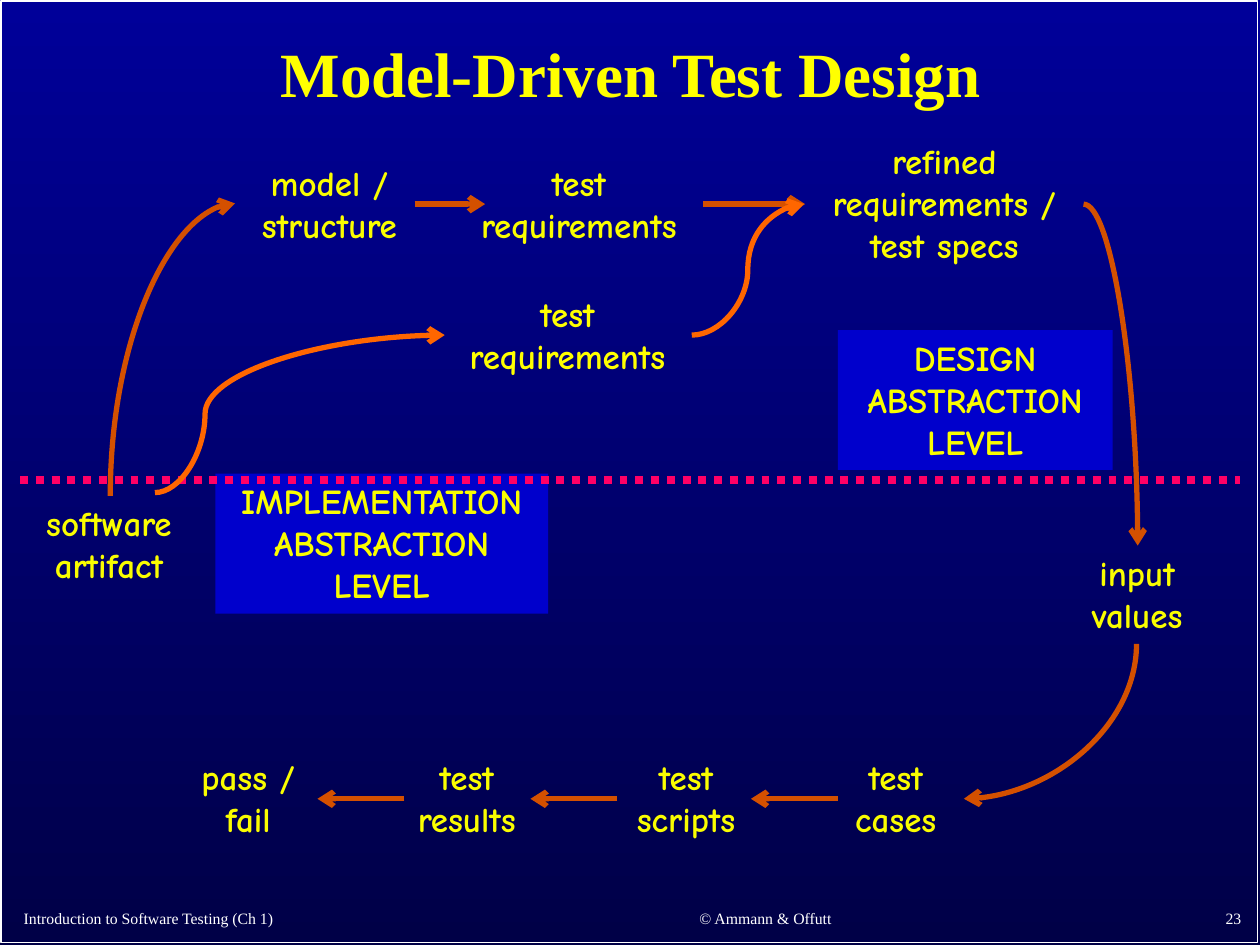
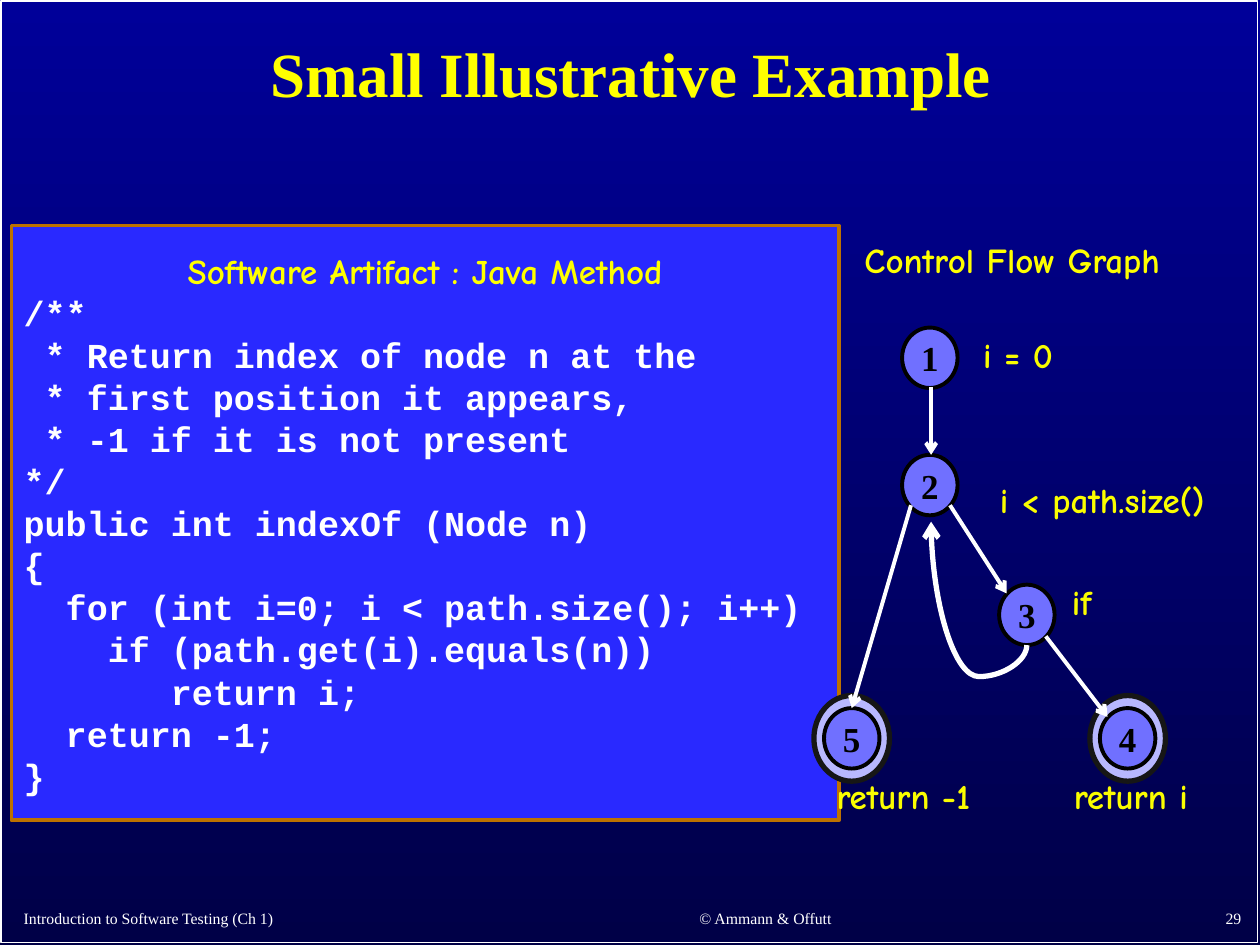
from lxml import etree
from pptx import Presentation
from pptx.dml.color import RGBColor
from pptx.enum.dml import MSO_LINE
from pptx.enum.shapes import MSO_CONNECTOR as Link, MSO_SHAPE as Shape
from pptx.enum.text import MSO_ANCHOR as Anchor, PP_ALIGN as Align
from pptx.oxml.ns import qn
from pptx.util import Emu, Pt

EMU_PER_PX = 9144
SERIF, HAND, CODE = "Times New Roman", "Comic Neue", "Courier New"
COLORS = {
    "sky": "000099",
    "deep": "000047",
    "title": "FFFF00",
    "label": "FAFD00",
    "white": "FFFFFF",
    "black": "000000",
    "block": "0000CC",
    "panel": "2929FF",
    "panel_edge": "BD7100",
    "flow": "D45000",
    "shortcut": "FF6600",
    "divider": "FF0066",
    "node": "7070FF",
    "ring": "B8B8FF",
    "ring_edge": "161616",
}
CODE_LINES = """/**
 * Return index of node n at the
 * first position it appears,
 * -1 if it is not present
*/
public int indexOf (Node n)
{
  for (int i=0; i < path.size(); i++)
    if (path.get(i).equals(n))
       return i;
  return -1;
}""".split("\n")


def px(*values):
    return [Emu(value * EMU_PER_PX) for value in values]


def rgb(name):
    return RGBColor.from_string(COLORS[name])


def format_para(para, font=HAND, size=20, color="label", align=Align.CENTER, bold=True):
    para.alignment = align
    for span in para.runs:
        span.font.name = font
        span.font.size = Pt(size)
        span.font.bold = bold
        span.font.color.rgb = rgb(color)


def write(shape, text, anchor=Anchor.TOP, **style):
    frame = shape.text_frame
    frame.word_wrap = True
    frame.vertical_anchor = anchor
    frame.text = text
    for para in frame.paragraphs:
        format_para(para, **style)


def add_label(page, box, text, **style):
    label = page.shapes.add_textbox(*px(*box))
    write(label, text, **style)


def add_box(page, kind, box, fill=None, edge=None, width=1):
    shape = page.shapes.add_shape(kind, *px(*box))
    shape.shadow.inherit = False
    if fill:
        shape.fill.solid()
        shape.fill.fore_color.rgb = rgb(fill)
    else:
        shape.fill.background()
    if edge:
        shape.line.color.rgb = rgb(edge)
        shape.line.width = Pt(width)
    else:
        shape.line.fill.background()
    return shape


def add_line(page, kind, ends, color, width, arrow=True, dash=None):
    line = page.shapes.add_connector(kind, *px(*ends))
    line.line.color.rgb = rgb(color)
    line.line.width = Pt(width)
    if dash:
        line.line.dash_style = dash
    properties = line._element.spPr
    if arrow:
        etree.SubElement(properties.find(qn("a:ln")), qn("a:tailEnd"), type="arrow")
    etree.SubElement(properties, qn("a:effectLst"))
    return line


def add_curve(page, box, color, flips="", turn=0, bend=None):
    left, top, width, height = box
    xs, ys = [left, left + width], [top, top + height]
    if "h" in flips:
        xs.reverse()
    if "v" in flips:
        ys.reverse()
    curve = add_line(page, Link.CURVE, (xs[0], ys[0], xs[1], ys[1]), color, 3)
    properties = curve._element.spPr
    properties.find(qn("a:xfrm")).set("rot", str(turn * 60000))
    geometry = properties.find(qn("a:prstGeom"))
    if bend is None:
        geometry.set("prst", "curvedConnector2")
    else:
        guides = geometry.find(qn("a:avLst"))
        etree.SubElement(guides, qn("a:gd"), name="adj1", fmla=f"val {bend * 1000:.0f}")


def paint_background(deck):
    fill = deck.slide_master.background.fill
    fill.gradient()
    fill.gradient_angle = 270
    for stop, name in zip(fill.gradient_stops, ("sky", "deep")):
        stop.color.rgb = rgb(name)


def add_page(deck, title, number):
    page = deck.slides.add_slide(deck.slide_layouts[5])
    add_box(page, Shape.RECTANGLE, (1, 1, 997, 747), edge="white")
    heading = page.shapes.title
    heading.left, heading.top, heading.width, heading.height = px(10, 11, 981, 100)
    write(heading, title, Anchor.MIDDLE, font=SERIF, size=36, color="title")
    heading.text_frame.paragraphs[0].line_spacing = 0.9
    footers = (
        (9, 420, "Introduction to Software Testing (Ch 1)", Align.LEFT),
        (449, 317, "© Ammann & Offutt", Align.CENTER),
        (787, 208, str(number), Align.RIGHT),
    )
    for left, width, text, align in footers:
        add_label(page, (left, 713, width, 28), text, anchor=Anchor.BOTTOM,
                  font=SERIF, size=9, color="white", align=align, bold=False)
    return page


def add_level(page, box, name):
    block = add_box(page, Shape.RECTANGLE, box, "block")
    write(block, f"{name}\nABSTRACTION\nLEVEL")


def add_node(page, left, top, number, final=False):
    if final:
        add_box(page, Shape.OVAL, (left - 8, top - 10, 60, 68), "ring", "ring_edge", 3)
    node = add_box(page, Shape.OVAL, (left, top, 44, 48), "node", "black", 2.25)
    frame = node.text_frame
    frame.margin_left = frame.margin_right = frame.margin_top = frame.margin_bottom = 0
    write(node, str(number), Anchor.MIDDLE, font=SERIF, color="black")


def build_design_page(deck):
    page = add_page(deck, "Model-Driven Test Design", 23)
    steps = (
        (11, 393, 151, "software artifact"),
        (186, 123, 151, "model / structure"),
        (361, 123, 197, "test requirements"),
        (639, 106, 221, "refined requirements / test specs"),
        (827, 433, 151, "input values"),
        (656, 595, 110, "test cases"),
        (482, 595, 125, "test scripts"),
        (308, 595, 125, "test results"),
        (135, 595, 124, "pass / fail"),
    )
    for left, top, width, text in steps:
        add_label(page, (left, top, width, 77), text)
    add_label(page, (352, 227, 197, 77), "test requirements", color="title")

    add_curve(page, (21, 228, 232, 99), "flow", "hv", 90)
    add_curve(page, (772, 504, 123, 137), "flow", turn=90)
    for start, end in ((329, 385), (558, 639)):
        add_line(page, Link.STRAIGHT, (start, 162, end, 162), "flow", 3)
    for start in (321, 490, 665):
        add_line(page, Link.STRAIGHT, (start, 634, start - 69, 634), "flow", 3)
    add_level(page, (171, 376, 264, 111), "IMPLEMENTATION")
    add_level(page, (665, 262, 218, 111), "DESIGN")
    add_curve(page, (860, 162, 43, 271), "flow")
    add_line(page, Link.STRAIGHT, (16, 381, 984, 381), "divider", 4.5,
             arrow=False, dash=MSO_LINE.ROUND_DOT)
    add_curve(page, (123, 266, 230, 125), "shortcut", "v", bend=17.3)
    add_curve(page, (549, 162, 89, 104), "shortcut", "v", bend=50)


def build_example_page(deck):
    page = add_page(deck, "Small Illustrative Example", 29)
    panel = add_box(page, Shape.RECTANGLE, (9, 179, 657, 472), "panel", "panel_edge", 2)
    write(panel, "\n".join(["Software Artifact : Java Method", *CODE_LINES]),
          Anchor.MIDDLE, color="title")
    for para in panel.text_frame.paragraphs[1:]:
        format_para(para, font=CODE, color="white", align=Align.LEFT)

    add_node(page, 654, 562, 5, final=True)
    add_node(page, 873, 562, 4, final=True)
    for left, top, number in ((793, 464, 3), (716, 361, 2), (716, 260, 1)):
        add_node(page, left, top, number)
    edges = (
        (739, 307, 739, 361),
        (723, 401, 676, 562),
        (830, 505, 879, 569),
        (754, 401, 799, 471),
    )
    for ends in edges:
        add_line(page, Link.STRAIGHT, ends, "white", 2.25)
    notes = (
        (759, 260, 98, "i = 0"),
        (757, 375, 236, "i < path.size()"),
        (827, 456, 63, "if"),
        (824, 610, 147, "return i"),
        (634, 610, 166, "return -1"),
    )
    for left, top, width, text in notes:
        add_label(page, (left, top, width, 50), text)
    add_curve(page, (728, 425, 98, 76), "white", "h", 90, bend=-25.5)
    add_label(page, (650, 184, 307, 50), "Control Flow Graph", color="title")


def main():
    deck = Presentation()
    deck.slide_width, deck.slide_height = px(1000, 750)
    paint_background(deck)
    build_design_page(deck)
    build_example_page(deck)
    deck.save("out.pptx")


if __name__ == "__main__":
    main()
